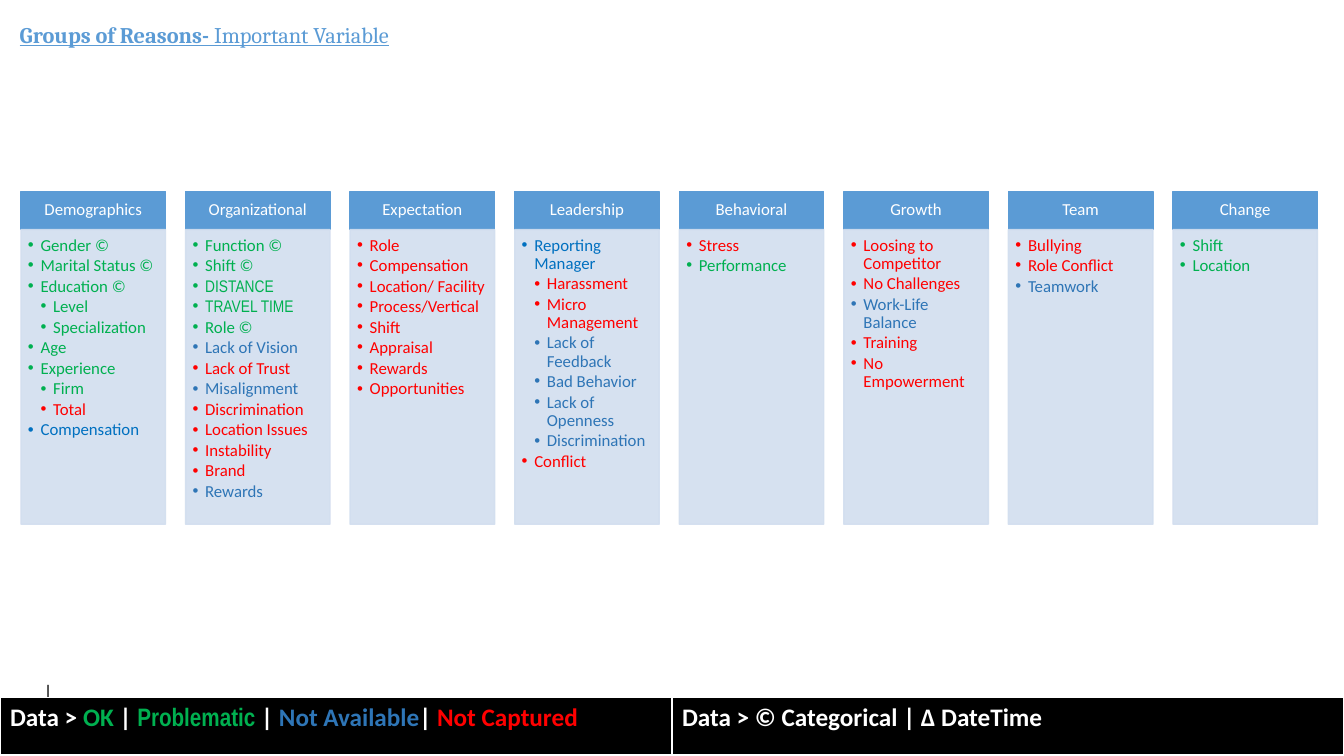
from pptx import Presentation
from pptx.dml.color import RGBColor
from pptx.enum.shapes import MSO_SHAPE as SHAPE
from pptx.enum.text import MSO_ANCHOR as ANCHOR, MSO_AUTO_SIZE as AUTO_SIZE, PP_ALIGN as ALIGN
from pptx.oxml.ns import qn
from pptx.util import Pt
from lxml.etree import SubElement

COLORS = {
    "ok": "00B050", "unavailable": "2E75B6", "uncaptured": "FF0000", "blue": "0070C0",
    "accent": "5B9BD5", "panel": "D2DEEF", "white": "FFFFFF", "black": "000000",
}
BODY, NARROW, HEADING = "Calibri", "Arial Narrow", "Cambria"

# (heading, [(status, [items])]); a leading ">" marks a second-level item
GROUPS = [
    ("Demographics", [
        ("ok", ["Gender ©", "Marital Status ©", "Education ©", ">Level", ">Specialization",
                "Age", "Experience", ">Firm"]),
        ("uncaptured", [">Total"]),
        ("blue", ["Compensation"])]),
    ("Organizational", [
        ("ok", ["Function ©", "Shift ©", "DISTANCE", "TRAVEL TIME", "Role ©"]),
        ("unavailable", ["Lack of Vision"]),
        ("uncaptured", ["Lack of Trust"]),
        ("unavailable", ["Misalignment"]),
        ("uncaptured", ["Discrimination", "Location Issues", "Instability", "Brand"]),
        ("unavailable", ["Rewards"])]),
    ("Expectation", [
        ("uncaptured", ["Role", "Compensation", "Location/ Facility", "Process/Vertical",
                        "Shift", "Appraisal", "Rewards", "Opportunities"])]),
    ("Leadership", [
        ("blue", ["Reporting Manager"]),
        ("uncaptured", [">Harassment", ">Micro Management"]),
        ("unavailable", [">Lack of Feedback", ">Bad Behavior", ">Lack of Openness",
                         ">Discrimination"]),
        ("uncaptured", ["Conflict"])]),
    ("Behavioral", [("uncaptured", ["Stress"]), ("ok", ["Performance"])]),
    ("Growth", [
        ("uncaptured", ["Loosing to Competitor", "No Challenges"]),
        ("unavailable", ["Work-Life Balance"]),
        ("uncaptured", ["Training", "No Empowerment"])]),
    ("Team", [("uncaptured", ["Bullying", "Role Conflict"]), ("unavailable", ["Teamwork"])]),
    ("Change", [("ok", ["Shift", "Location"])]),
]
NARROW_ITEMS = {"DISTANCE", "TRAVEL TIME"}
LEGEND = [
    [("Data > ", "white", BODY), ("OK", "ok", BODY), (" | ", "white", BODY),
     ("Problematic", "ok", NARROW), (" | ", "white", BODY),
     ("Not Available", "unavailable", BODY), ("|", "white", BODY),
     (" Not Captured ", "uncaptured", BODY)],
    [("Data > © Categorical | Δ DateTime", "white", BODY)],
]
BORDERS = [("a:lnL", 1), ("a:lnR", 1), ("a:lnT", 1), ("a:lnB", 3)]

SLIDE_W, SLIDE_H = 960, 540
LEFT, TOP, PITCH, COLUMN_W = 15, 136.6, 117.55, 103.2
HEADER_H, PANEL_H = 27.4, 210.5
INDENT, LEGEND_H = 9, 41.5


def color(name):
    return RGBColor.from_string(COLORS[name])


def add_run(paragraph, text, size, tint, font=BODY, bold=False, underline=False):
    run = paragraph.add_run()
    run.text = text
    run.font.size, run.font.name = Pt(size), font
    run.font.bold, run.font.underline = bold, underline
    run.font.color.rgb = color(tint)


def add_box(left, top, height, tint, insets, anchor, opacity=100):
    box = slide.shapes.add_shape(SHAPE.RECTANGLE, Pt(left), Pt(top), Pt(COLUMN_W), Pt(height))
    box.shadow.inherit = False
    box.fill.solid()
    box.fill.fore_color.rgb = box.line.color.rgb = color(tint)
    box.line.width = Pt(1)
    if opacity < 100:
        for rgb in box._element.spPr.iter(qn("a:srgbClr")):
            SubElement(rgb, qn("a:alpha"), val=str(opacity * 1000))
    frame = box.text_frame
    frame.word_wrap, frame.vertical_anchor = True, anchor
    frame.margin_left, frame.margin_top, frame.margin_right, frame.margin_bottom = map(Pt, insets)
    return frame


def add_bullet(paragraph, item, status):
    depth = 2 if item.startswith(">") else 1
    text = item.lstrip(">")
    paragraph.level, paragraph.alignment = depth, ALIGN.LEFT
    paragraph.line_spacing, paragraph.space_after = 0.9, Pt(1.7)
    props = paragraph._p.get_or_add_pPr()
    props.set("marL", str(Pt(INDENT * depth)))
    props.set("indent", str(-Pt(INDENT)))
    SubElement(props, qn("a:buFont"), typeface="Arial")
    SubElement(props, qn("a:buChar"), char="•")
    add_run(paragraph, text, 12, status, NARROW if text in NARROW_ITEMS else BODY)


def add_text(left, top, width, height):
    frame = slide.shapes.add_textbox(Pt(left), Pt(top), Pt(width), Pt(height)).text_frame
    frame.word_wrap, frame.auto_size = True, AUTO_SIZE.SHAPE_TO_FIT_TEXT
    return frame.paragraphs[0]


deck = Presentation()
deck.slide_width, deck.slide_height = Pt(SLIDE_W), Pt(SLIDE_H)
slide = deck.slides.add_slide(deck.slide_layouts[6])

for column, (heading, statuses) in enumerate(GROUPS):
    left = LEFT + column * PITCH
    header = add_box(left, TOP, HEADER_H, "accent", (6.7, 3.8, 6.7, 3.8), ANCHOR.MIDDLE)
    header.paragraphs[0].alignment = ALIGN.CENTER
    header.paragraphs[0].line_spacing = 0.9
    add_run(header.paragraphs[0], heading, 12, "white")

    panel = add_box(left, TOP + HEADER_H, PANEL_H, "panel", (5, 5, 6.7, 7.5), ANCHOR.TOP, 90)
    items = [(item, status) for status, names in statuses for item in names]
    for row, (item, status) in enumerate(items):
        add_bullet(panel.add_paragraph() if row else panel.paragraphs[0], item, status)

add_run(add_text(24, 481.8, 887, 24.2), "|", 14, "black")
title = add_text(7, 11.7, 588, 26.7)
add_run(title, "Groups of Reasons- ", 16, "accent", HEADING, True, True)
add_run(title, "Important Variable", 16, "accent", HEADING, False, True)

legend = slide.shapes.add_table(1, len(LEGEND), Pt(0), Pt(SLIDE_H - LEGEND_H),
                                Pt(SLIDE_W), Pt(LEGEND_H)).table
legend.first_row = legend.horz_banding = False
for cell, parts in zip(legend.iter_cells(), LEGEND):
    props = cell._tc.get_or_add_tcPr()
    for side, width in BORDERS:
        border = SubElement(props, qn(side), w=str(Pt(width)))
        SubElement(SubElement(border, qn("a:solidFill")), qn("a:srgbClr"), val=COLORS["white"])
    cell.fill.solid()
    cell.fill.fore_color.rgb = color("black")
    for text, tint, font in parts:
        add_run(cell.text_frame.paragraphs[0], text, 18, tint, font, True)

deck.save("out.pptx")
